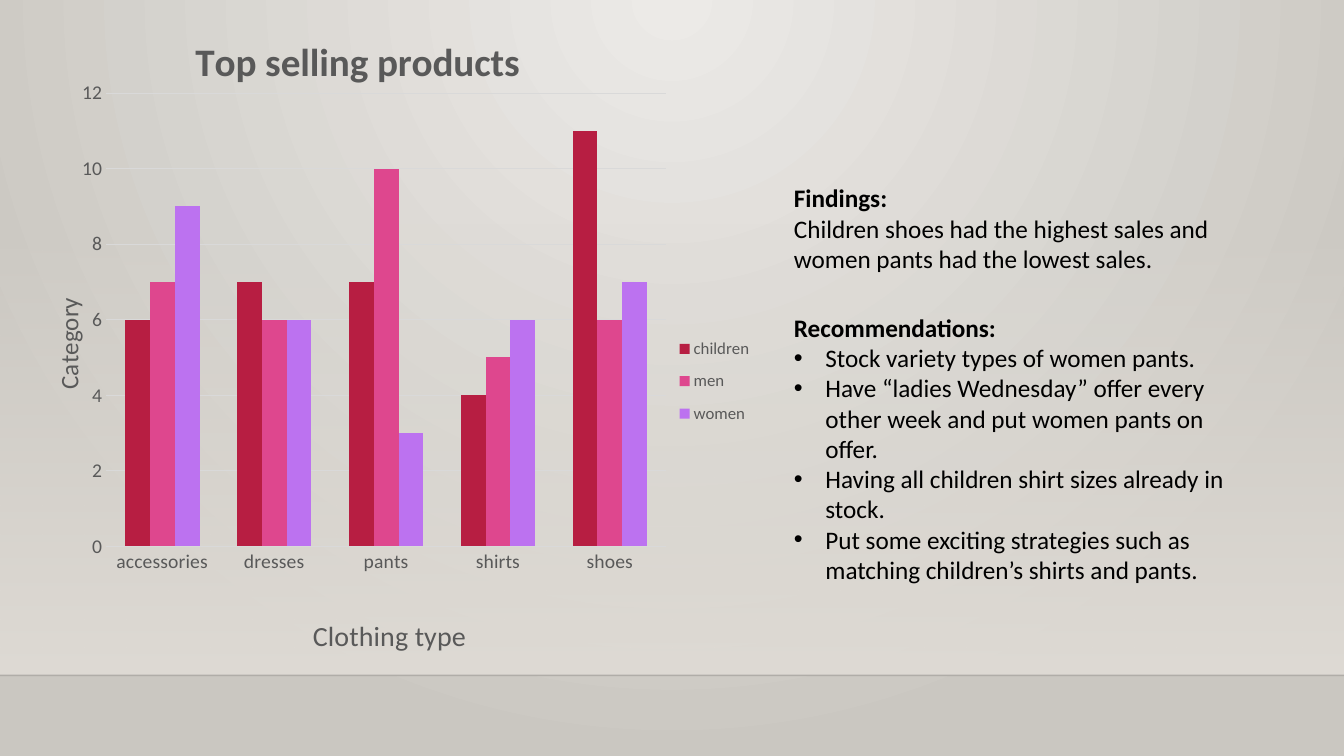
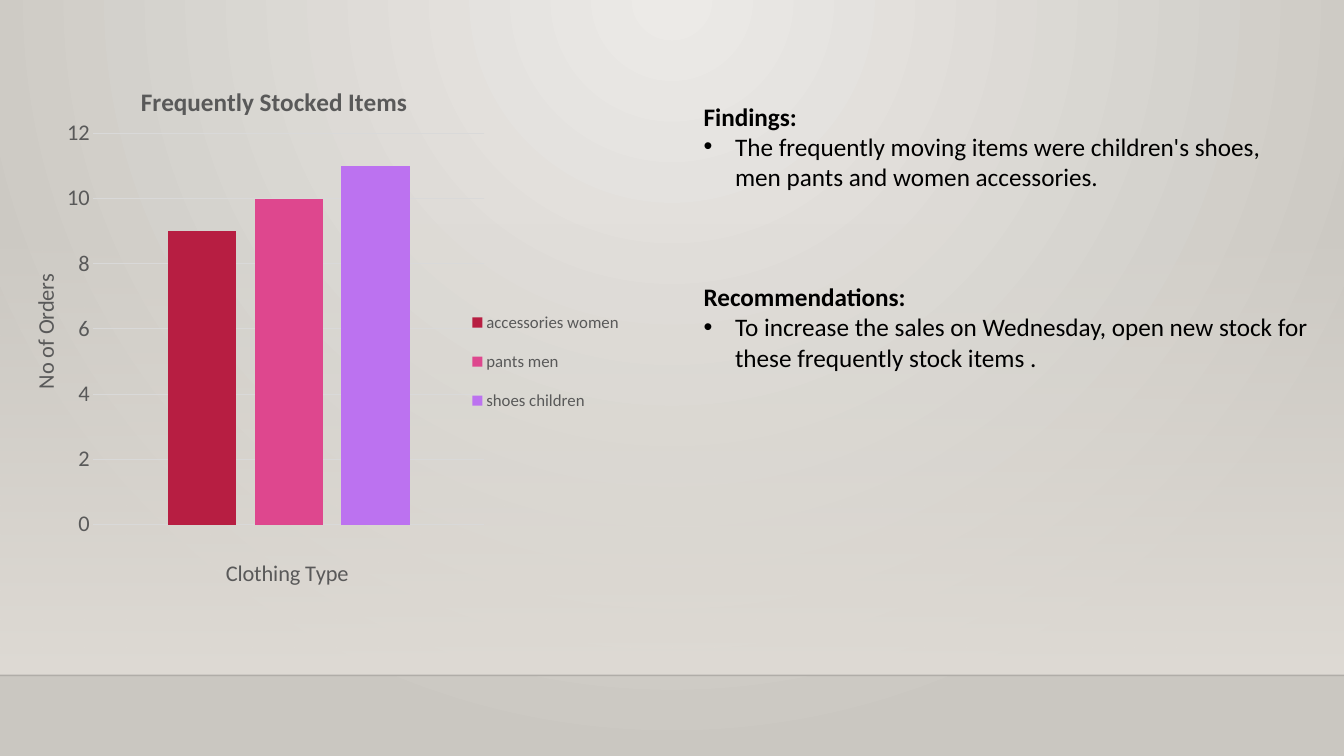
from lxml.etree import SubElement
from pptx import Presentation
from pptx.chart.data import CategoryChartData
from pptx.dml.color import RGBColor
from pptx.enum.chart import XL_CHART_TYPE, XL_LEGEND_POSITION, XL_TICK_MARK
from pptx.enum.shapes import MSO_CONNECTOR, MSO_SHAPE
from pptx.oxml import parse_xml
from pptx.oxml.ns import nsdecls, qn
from pptx.util import Pt

COLORS = {
    "glow": "ECEAE7", "edge": "CAC7C1", "wall": "DFDBD5",
    "text": "000000", "label": "595959", "grid": "D9D9D9",
}
SERIES_COLORS = ["B71E42", "DE478E", "BC72F0"]
FONT = "Calibri"
WIDTH, HEIGHT, FLOOR = 960, 540, 482.4


def rgb(name):
    return RGBColor.from_string(COLORS.get(name, name))


def set_gradient(fill, element, stops, direction):
    """Fill with (position, colour, alpha) stops; direction is a:lin or a:path."""
    fill.gradient()
    grad = element.find(".//" + qn("a:gradFill"))
    for child in list(grad):
        grad.remove(child)
    stop_list = SubElement(grad, qn("a:gsLst"))
    for position, color, alpha in stops:
        gs = SubElement(stop_list, qn("a:gs"), pos=str(position * 1000))
        clr = SubElement(gs, qn("a:srgbClr"), val=COLORS[color])
        SubElement(clr, qn("a:alpha"), val=str(alpha * 1000))
    grad.append(parse_xml(direction))


def set_layout(element, x, y, w=None, h=None):
    """Place a chart part by fractions of the chart's size."""
    layout = element.find(qn("c:layout"))
    if layout is not None:
        element.remove(layout)
    is_plot = element.tag == qn("c:plotArea")
    entries = [("layoutTarget", "inner")] if is_plot else []
    entries += [("xMode", "edge"), ("yMode", "edge"), ("x", x), ("y", y)]
    if w is not None:
        entries += [("w", w), ("h", h)]
    layout = parse_xml(f'<c:layout {nsdecls("c")}/>')
    manual = SubElement(layout, qn("c:manualLayout"))
    for tag, value in entries:
        SubElement(manual, qn("c:" + tag), val=str(value))
    if is_plot:
        element.insert(0, layout)
    else:
        element.find(qn("c:overlay")).addprevious(layout)


class Deck:
    def __init__(self):
        self.prs = Presentation()
        self.prs.slide_width, self.prs.slide_height = Pt(WIDTH), Pt(HEIGHT)
        self.slide = None
        master = self.prs.slide_master
        set_gradient(
            master.background.fill, master.element,
            [(0, "glow", 100), (100, "edge", 100)],
            f'<a:path {nsdecls("a")} path="circle">'
            '<a:fillToRect l="43000" t="0" r="43000" b="100000"/></a:path>')

    def new_slide(self):
        self.slide = self.prs.slides.add_slide(self.prs.slide_layouts[6])
        # Wall fading in towards the floor
        top = 159
        sp = self.slide.shapes.add_shape(
            MSO_SHAPE.RECTANGLE, 0, Pt(top), Pt(WIDTH), Pt(FLOOR - top))
        sp.shadow.inherit = False
        sp.line.fill.background()
        set_gradient(sp.fill, sp.element, [(0, "wall", 0), (100, "wall", 100)],
                     f'<a:lin {nsdecls("a")} ang="5400000" scaled="0"/>')
        # Floor line
        line = self.slide.shapes.add_connector(
            MSO_CONNECTOR.STRAIGHT, 0, Pt(FLOOR), Pt(WIDTH), Pt(FLOOR))
        line.line.width = Pt(1)
        line.line.color.rgb = rgb("text")
        clr = line.element.find(".//" + qn("a:srgbClr"))
        SubElement(clr, qn("a:alpha"), val="20000")
        SubElement(line.element.spPr, qn("a:effectLst"))

    def set_font(self, font, size, color="label", bold=False):
        font.name, font.size, font.bold = FONT, Pt(size), bold
        font.color.rgb = rgb(color)

    def chart_title(self, title, text, size, x, y, bold=False):
        p = title.text_frame.paragraphs[0]
        p.text = text
        self.set_font(p.font, size, bold=bold)
        set_layout(title.element, x, y)

    def column_chart(self, box, categories, series, title, x_title, y_title,
                     plot, legend, label_size, gap, overlap=0, show_categories=True):
        """Each title is (text, size, x, y); plot and legend are (x, y, w, h)."""
        data = CategoryChartData()
        data.categories = categories
        for name, values in series:
            data.add_series(name, values)
        chart = self.slide.shapes.add_chart(
            XL_CHART_TYPE.COLUMN_CLUSTERED, *map(Pt, box), data).chart
        self.set_font(chart.font, 10, "text")

        # Columns
        bars = chart.plots[0]
        bars.vary_by_categories = False
        bars.gap_width, bars.overlap = gap, overlap
        for ser, color in zip(bars.series, SERIES_COLORS):
            ser.format.fill.solid()
            ser.format.fill.fore_color.rgb = rgb(color)
        set_layout(chart.element.find(".//" + qn("c:plotArea")), *plot)

        # Axes
        for axis in (chart.category_axis, chart.value_axis):
            axis.major_tick_mark = axis.minor_tick_mark = XL_TICK_MARK.NONE
            axis.format.line.fill.background()
            self.set_font(axis.tick_labels.font, label_size)
        chart.category_axis.visible = show_categories
        values = chart.value_axis
        values.minimum_scale, values.maximum_scale, values.major_unit = 0, 12, 2
        grid = values.major_gridlines.format.line
        grid.width = Pt(0.75)
        grid.color.rgb = rgb("grid")

        # Titles and legend
        chart.has_title = True
        self.chart_title(chart.chart_title, *title, bold=True)
        self.chart_title(chart.category_axis.axis_title, *x_title)
        self.chart_title(values.axis_title, *y_title)
        chart.has_legend = True
        chart.legend.position = XL_LEGEND_POSITION.RIGHT
        chart.legend.include_in_layout = False
        self.set_font(chart.legend.font, 12)
        set_layout(chart.element.find(".//" + qn("c:legend")), *legend)

    def text_block(self, box, heading, lines, bulleted=True):
        tf = self.slide.shapes.add_textbox(*map(Pt, box)).text_frame
        tf.word_wrap = True
        for i, text in enumerate([heading, *lines]):
            p = tf.paragraphs[0] if i == 0 else tf.add_paragraph()
            r = p.add_run()
            r.text = text
            r.font.bold = i == 0
            self.set_font(p.font, 18, "text", bold=i == 0)
            if bulleted and i > 0:
                self.bullet(p)

    def bullet(self, p):
        pPr = p._p.get_or_add_pPr()
        pPr.set("marL", str(Pt(22.5)))
        pPr.set("indent", str(-Pt(22.5)))
        for i, tag in enumerate(('buFont typeface="Arial"', 'buChar char="•"')):
            pPr.insert(i, parse_xml(f'<a:{tag} {nsdecls("a")}/>'))


def main():
    deck = Deck()

    # Top selling products
    deck.new_slide()
    deck.column_chart(
        (12, 6.5, 533, 466.5),
        ["accessories", "dresses", "pants", "shirts", "shoes"],
        [("children", [6, 7, 7, 4, 11]), ("men", [7, 6, 10, 5, 6]),
         ("women", [9, 6, 3, 6, 7])],
        title=("Top selling products", 28, 0.23, 0.03),
        x_title=("Clothing type", 20, 0.39, 0.93),
        y_title=("Category", 18, 0.04, 0.44),
        plot=(0.12, 0.13, 0.75, 0.7), legend=(0.88, 0.49, 0.11, 0.17),
        label_size=14, gap=150)
    deck.text_block(
        (560, 127, 366, 73), "Findings:",
        ["Children shoes had the highest sales and women pants had the lowest sales."],
        bulleted=False)
    deck.text_block(
        (560, 219.5, 348.5, 181.5), "Recommendations:",
        ["Stock variety types of women pants.",
         "Have “ladies Wednesday” offer every other week and put women pants on offer.",
         "Having all children shirt sizes already in stock.",
         "Put some exciting strategies such as matching children’s shirts and pants."])

    # Frequently stocked items
    deck.new_slide()
    deck.column_chart(
        (10, 27.5, 436.5, 423.5), ["1"],
        [("accessories women", [9]), ("pants men", [10]), ("shoes children", [11])],
        title=("Frequently Stocked Items", 18, 0.2, 0.07),
        x_title=("Clothing Type", 16, 0.34, 0.87),
        y_title=("No of Orders", 16, 0.02, 0.39),
        plot=(0.13, 0.16, 0.64, 0.66), legend=(0.74, 0.43, 0.26, 0.23),
        label_size=16, gap=219, overlap=-27, show_categories=False)
    deck.text_block(
        (495.5, 68.5, 446.5, 73), "Findings:",
        ["The frequently moving items were children's shoes, "
         "men pants and women accessories."])
    deck.text_block(
        (495.5, 197.5, 446.5, 73), "Recommendations:",
        ["To increase the sales on Wednesday, open new stock for "
         "these frequently stock items ."])

    deck.prs.save("out.pptx")


if __name__ == "__main__":
    main()
